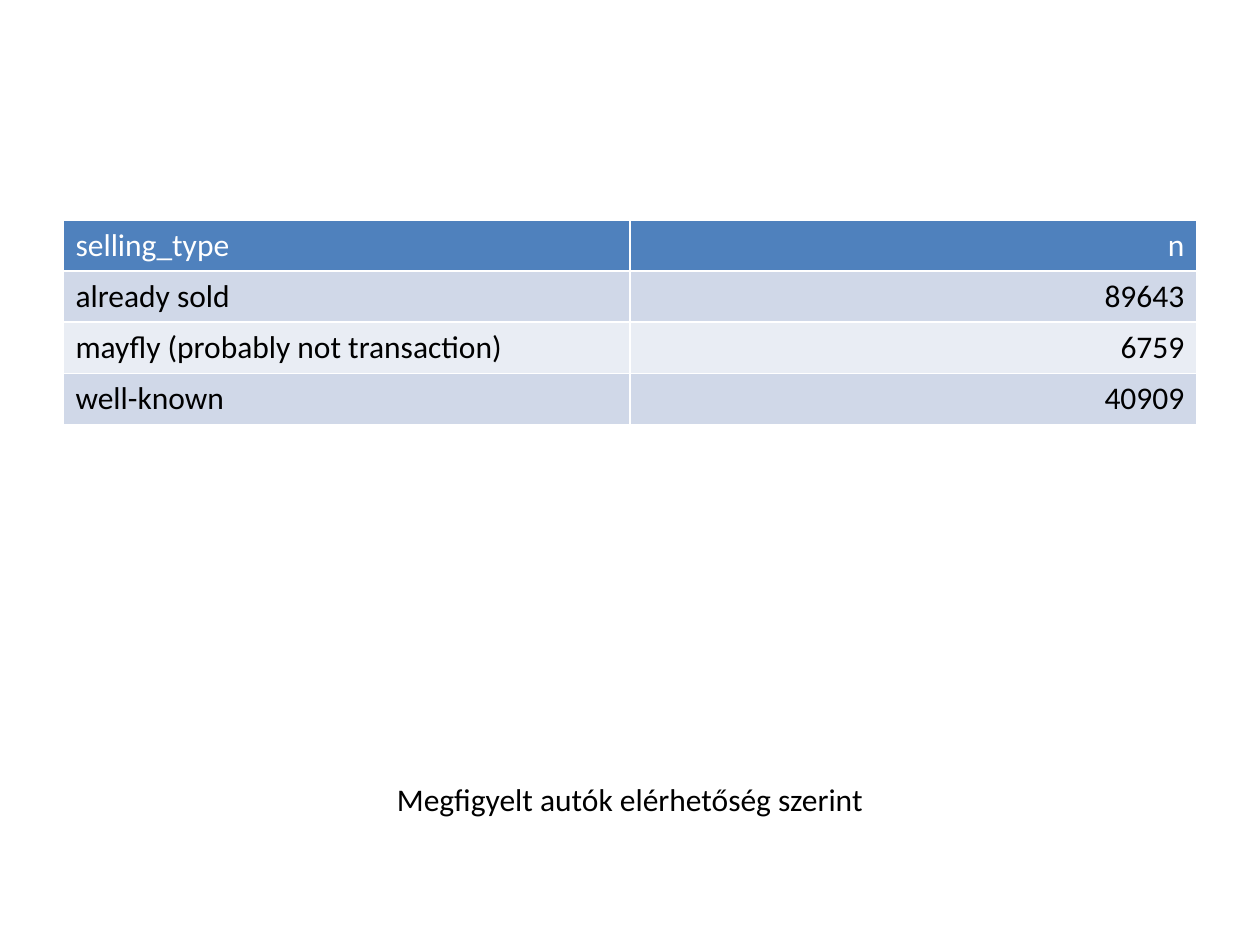
from lxml import etree
from pptx import Presentation
from pptx import util as u
from pptx.dml.color import RGBColor
from pptx.enum import text
from pptx.oxml import ns

PIXEL = 914400 // 126
FONT = "Calibri"
ROWS = [
    ("selling_type", "n"),
    ("already sold", "89643"),
    ("mayfly (probably not transaction)", "6759"),
    ("well-known", "40909"),
]
HEADER_FILL = "4F81BD"
BAND_FILLS = ("D0D8E8", "E9EDF4")


def px(*lengths):
    """Turn pixel lengths into EMU."""
    return [u.Emu(length * PIXEL) for length in lengths]


def color(value):
    """Turn a hex string into a colour."""
    return RGBColor.from_string(value)


def style_paragraph(para, ink, align):
    """Set the shared font, the ink colour and the alignment."""
    para.alignment = align
    para.font.name = FONT
    para.font.size = u.Pt(18)
    para.font.bold = False
    para.font.color.rgb = color(ink)


def add_borders(cell, ink, width):
    """Draw a line on all four sides of a cell."""
    properties = cell._tc.get_or_add_tcPr()
    for side in ("lnL", "lnR", "lnT", "lnB"):
        line = etree.SubElement(properties, ns.qn(f"a:{side}"), w=str(u.Pt(width)))
        fill = etree.SubElement(line, ns.qn("a:solidFill"))
        etree.SubElement(fill, ns.qn("a:srgbClr"), val=ink)


def add_count_table(page, left, top, width, row_height):
    """Place the table of counts by selling type."""
    frame = page.shapes.add_table(
        len(ROWS), len(ROWS[0]), *px(left, top, width, row_height * len(ROWS))
    )
    aligns = (text.PP_ALIGN.LEFT, text.PP_ALIGN.RIGHT)
    for row, values in enumerate(ROWS):
        fill = BAND_FILLS[(row - 1) % 2] if row else HEADER_FILL
        ink = "000000" if row else "FFFFFF"
        for column, value in enumerate(values):
            cell = frame.table.cell(row, column)
            cell.text = value
            style_paragraph(cell.text_frame.paragraphs[0], ink, aligns[column])
            add_borders(cell, "FFFFFF", 1)
            cell.fill.solid()
            cell.fill.fore_color.rgb = color(fill)


def add_caption(page, left, top, width, height):
    """Place the centred caption below the table."""
    box = page.shapes.add_textbox(*px(left, top, width, height))
    box.text_frame.word_wrap = True
    para = box.text_frame.paragraphs[0]
    para.text = "Megfigyelt autók elérhetőség szerint"
    style_paragraph(para, "000000", text.PP_ALIGN.CENTER)


deck = Presentation()
deck.slide_width, deck.slide_height = px(1260, 945)
page = deck.slides.add_slide(deck.slide_layouts[6])
add_count_table(page, 63, 220, 1134, 51)
add_caption(page, 63, 774, 1134, 70)
deck.save("out.pptx")
